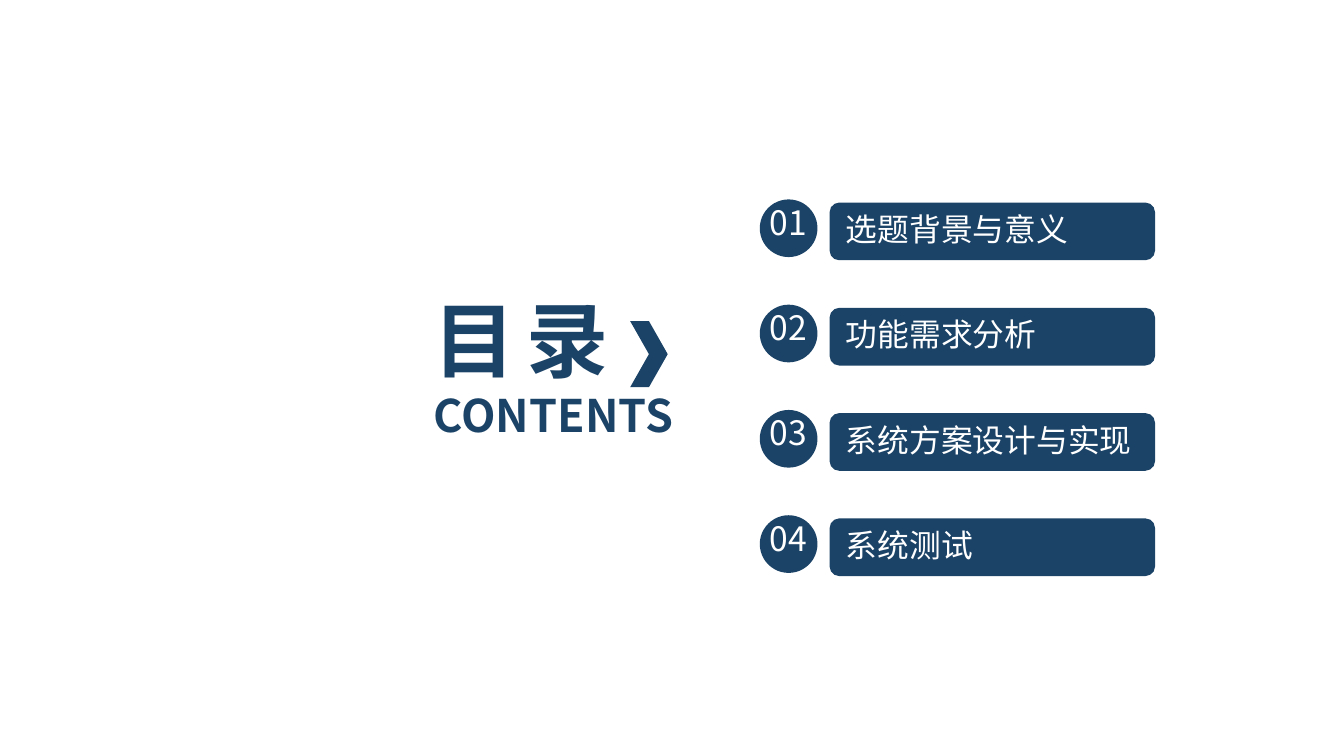
from dataclasses import dataclass

from lxml import etree
from pptx import Presentation
from pptx import util as u
from pptx.dml.color import RGBColor
from pptx.enum import shapes, text
from pptx.oxml.ns import qn


@dataclass(frozen=True)
class Theme:
    """Colours, font and type sizes of the deck."""
    navy: RGBColor = RGBColor(0x1B, 0x43, 0x67)
    white: RGBColor = RGBColor(0xFF, 0xFF, 0xFF)
    font: str = "Noto Sans CJK SC"
    title: int = 44
    subtitle: int = 24
    number: int = 18
    entry: int = 17


THEME = Theme()
ENTRIES = ["选题背景与意义", "功能需求分析", "系统方案设计与实现", "系统测试"]


def add_solid(parent, kind, left, top, width, height):
    """Add a plain navy preset shape, measured in centimetres."""
    sp = parent.add_shape(kind, *map(u.Cm, (left, top, width, height)))
    sp.shadow.inherit = False
    sp.fill.solid()
    sp.fill.fore_color.rgb = THEME.navy
    sp.line.fill.background()
    return sp


def write(sp, words, size, color, bold=False, align=text.PP_ALIGN.LEFT,
          anchor=text.MSO_ANCHOR.TOP, spacing=0):
    """Write one styled run into a shape."""
    tf = sp.text_frame
    tf.word_wrap = True
    tf.auto_size = text.MSO_AUTO_SIZE.SHAPE_TO_FIT_TEXT
    tf.vertical_anchor = anchor
    tf.margin_top = tf.margin_bottom = u.Cm(0.1)
    p = tf.paragraphs[0]
    p.alignment = align
    p.line_spacing = 0.9
    r = p.add_run()
    r.text = words
    r.font.name = THEME.font
    r.font.size = u.Pt(size)
    r.font.bold = bold
    r.font.color.rgb = color
    props = r.font._element
    etree.SubElement(props, qn("a:ea")).set("typeface", THEME.font)
    if spacing:
        props.set("spc", str(round(spacing * 100)))


def add_text(parent, left, top, width, height, *args, **style):
    """Add a text box, measured in centimetres."""
    box = parent.add_textbox(*map(u.Cm, (left, top, width, height)))
    write(box, *args, **style)


def add_heading(s, left, top, width):
    """Place the two-line heading and its chevron."""
    add_text(s.shapes, left, top, width, 2.13, "目 录", THEME.title,
             THEME.navy, bold=True, spacing=-2.2)
    add_text(s.shapes, left, top + 1.75, width, 1.27, "CONTENTS",
             THEME.subtitle, THEME.navy, bold=True)
    add_solid(s.shapes, shapes.MSO_SHAPE.CHEVRON,
              left + 3.96, top + 0.48, 0.71, 1.25)


def add_entry(s, left, top, width, height, number, words):
    """Place one numbered badge and its title bar."""
    bar_left = 1.32
    bar = add_solid(s.shapes, shapes.MSO_SHAPE.ROUNDED_RECTANGLE,
                    left + bar_left, top + 0.06, width - bar_left, height)
    write(bar, words, THEME.entry, THEME.white,
          anchor=text.MSO_ANCHOR.MIDDLE)
    badge = s.shapes.add_group_shape().shapes
    add_solid(badge, shapes.MSO_SHAPE.OVAL, left, top, height, height)
    add_text(badge, left - 0.11, top + 0.03, height + 0.22, 1.02,
             f"{number:02d}", THEME.number, THEME.white,
             align=text.PP_ALIGN.CENTER)


def add_entries(s, left, top, width, pitch):
    """Stack the entries at an equal pitch."""
    for i, words in enumerate(ENTRIES):
        add_entry(s, left, top + i * pitch, width, 1.09, i + 1, words)


def main():
    """Build and save the contents slide."""
    prs = Presentation()
    prs.slide_width, prs.slide_height = u.Cm(25.4), u.Cm(14.29)
    s = prs.slides.add_slide(prs.slide_layouts[6])
    add_heading(s, 7.95, 5.59, 5.97)
    add_entries(s, 14.36, 3.77, 7.47, 1.99)
    prs.save("out.pptx")


if __name__ == "__main__":
    main()
